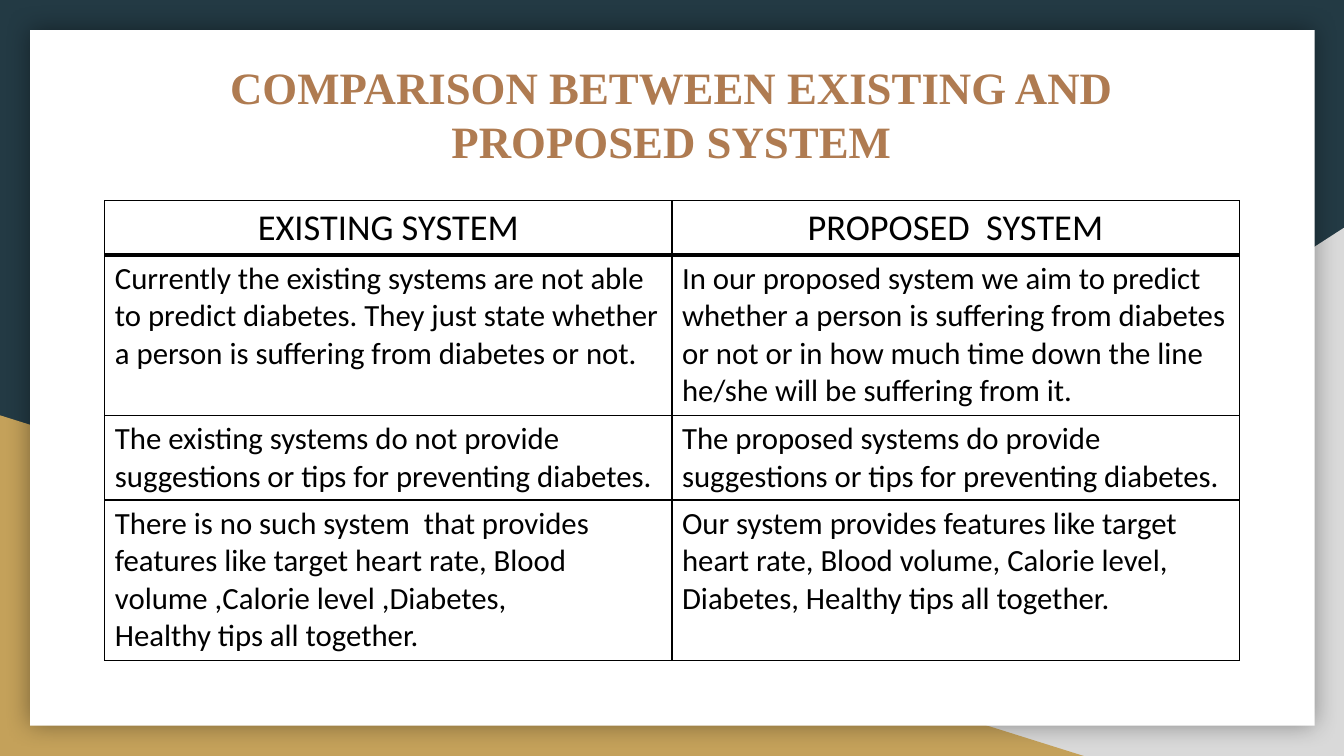
from dataclasses import dataclass

from lxml.etree import SubElement
from pptx import Presentation
from pptx.dml.color import RGBColor
from pptx.enum.shapes import MSO_SHAPE as Preset
from pptx.enum.text import MSO_ANCHOR as Anchor, PP_ALIGN as Align
from pptx.oxml.ns import qn
from pptx.shapes.autoshape import Shape
from pptx.slide import Slide
from pptx.table import _Cell as Cell
from pptx.text.text import TextFrame
from pptx.util import Inches, Pt

NAVY, GREY, GOLD, BROWN = "233A44", "D9D9D9", "C4A15A", "AF7B51"
WHITE, BLACK = "FFFFFF", "000000"


@dataclass
class Panel:
    preset: Preset
    left: float
    top: float
    width: float
    height: float
    color: str
    flipped: bool = False
    shadowed: bool = False


@dataclass
class ComparisonRow:
    height: float
    existing: str
    proposed: str


PANELS = [
    Panel(Preset.RIGHT_TRIANGLE, 5.22, 2.26, 8.11, 5.24, GREY, flipped=True),
    Panel(Preset.RIGHT_TRIANGLE, 0, 4.12, 10.75, 3.38, GOLD),
    Panel(Preset.RECTANGLE, 0.3, 0.3, 12.74, 6.9, WHITE, shadowed=True),
]

ROWS = [
    ComparisonRow(0.54, "EXISTING SYSTEM", "PROPOSED  SYSTEM"),
    ComparisonRow(
        1.59,
        "Currently the existing systems are not able to predict diabetes. "
        "They just state whether a person is suffering from diabetes or not.",
        "In our proposed system we aim to predict whether a person is suffering from diabetes "
        "or not or in how much time down the line he/she will be suffering from it.",
    ),
    ComparisonRow(
        0.84,
        "The existing systems do not provide suggestions or tips for preventing diabetes.",
        "The proposed systems do provide suggestions or tips for preventing diabetes.",
    ),
    ComparisonRow(
        1.59,
        "There is no such system  that provides features like target heart rate, "
        "Blood volume ,Calorie level ,Diabetes,\nHealthy tips all together.",
        "Our system provides features like target heart rate, Blood volume, "
        "Calorie level, Diabetes, Healthy tips all together.",
    ),
]


def rgb(color: str) -> RGBColor:
    return RGBColor.from_string(color)


def format_text(frame: TextFrame, font: str, size: float, color: str,
                align: Align, bold: bool = False) -> None:
    for paragraph in frame.paragraphs:
        paragraph.alignment = align
        for run in paragraph.runs:
            run.font.name = font
            run.font.size = Pt(size)
            run.font.bold = bold
            run.font.color.rgb = rgb(color)


def add_soft_shadow(shape: Shape) -> None:
    effects = shape._element.spPr.find(qn("a:effectLst"))
    shadow = SubElement(effects, qn("a:outerShdw"), blurRad=str(Pt(18)), dist="0",
                        algn="ctr", rotWithShape="0")
    color = SubElement(shadow, qn("a:srgbClr"), val=BLACK)
    SubElement(color, qn("a:alpha"), val="40000")


def add_panel(slide: Slide, panel: Panel) -> None:
    shape = slide.shapes.add_shape(panel.preset, Inches(panel.left), Inches(panel.top),
                                   Inches(panel.width), Inches(panel.height))
    shape.fill.solid()
    shape.fill.fore_color.rgb = rgb(panel.color)
    shape.line.fill.background()
    shape.shadow.inherit = False
    if panel.flipped:
        shape._element.spPr.find(qn("a:xfrm")).set("flipH", "1")
    if panel.shadowed:
        add_soft_shadow(shape)


def add_title(slide: Slide, text: str) -> None:
    box = slide.shapes.add_textbox(Inches(1.19), Inches(0.43), Inches(10.94), Inches(1.39))
    frame = box.text_frame
    frame.word_wrap = True
    frame.vertical_anchor = Anchor.MIDDLE
    frame.margin_left = frame.margin_right = Inches(0.13)
    frame.margin_top = frame.margin_bottom = Inches(0.13)
    frame.text = text
    format_text(frame, "Times New Roman", 32, BROWN, Align.CENTER, bold=True)


def set_borders(cell: Cell, top: float, bottom: float) -> None:
    """Draw black cell edges; the side edges are always 1 pt."""
    properties = cell._tc.get_or_add_tcPr()
    edges = {"a:lnL": 1, "a:lnR": 1, "a:lnT": top, "a:lnB": bottom}
    for position, (tag, width) in enumerate(edges.items()):
        line = properties.makeelement(qn(tag), {"w": str(Pt(width))})
        fill = SubElement(line, qn("a:solidFill"))
        SubElement(fill, qn("a:srgbClr"), val=BLACK)
        properties.insert(position, line)


def add_comparison(slide: Slide, rows: list[ComparisonRow]) -> None:
    height = sum(row.height for row in rows)
    frame = slide.shapes.add_table(len(rows), 2, Inches(1.04), Inches(1.99),
                                   Inches(11.25), Inches(height))
    table = frame.table
    for index, row in enumerate(rows):
        table.rows[index].height = Inches(row.height)
        is_header = index == 0
        for column, text in enumerate((row.existing, row.proposed)):
            cell = table.cell(index, column)
            cell.text_frame.text = text
            format_text(cell.text_frame, "Calibri", 26 if is_header else 22, BLACK,
                        Align.CENTER if is_header else Align.LEFT)
            cell.fill.solid()
            cell.fill.fore_color.rgb = rgb(WHITE)
            set_borders(cell, top=3 if index == 1 else 1, bottom=3 if is_header else 1)


def main() -> None:
    presentation = Presentation()
    presentation.slide_width = Inches(13.33)
    presentation.slide_height = Inches(7.5)
    slide = presentation.slides.add_slide(presentation.slide_layouts[6])
    slide.background.fill.solid()
    slide.background.fill.fore_color.rgb = rgb(NAVY)
    for panel in PANELS:
        add_panel(slide, panel)
    add_title(slide, "COMPARISON BETWEEN EXISTING AND PROPOSED SYSTEM")
    add_comparison(slide, ROWS)
    presentation.save("out.pptx")


if __name__ == "__main__":
    main()
